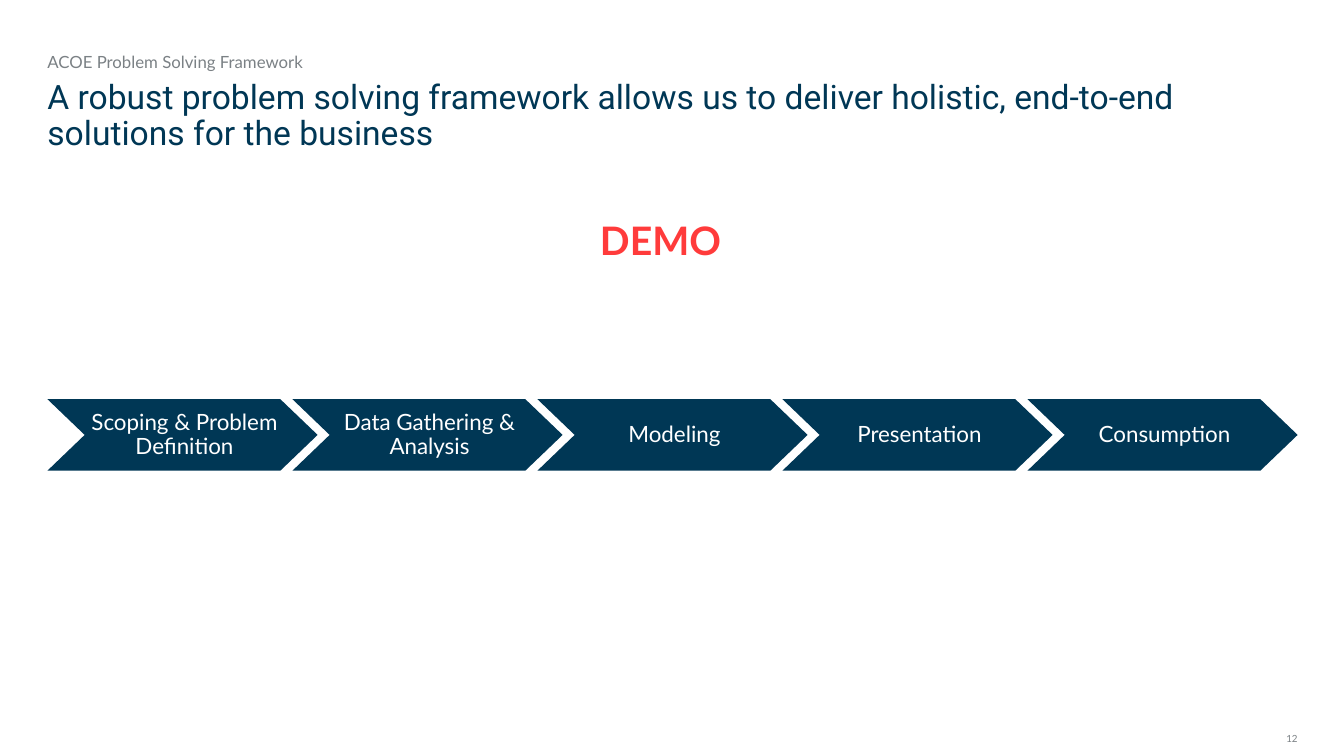
from pptx import Presentation
from pptx.dml.color import RGBColor
from pptx.enum.shapes import MSO_SHAPE
from pptx.enum.text import MSO_ANCHOR, PP_ALIGN
from pptx.util import Inches, Pt

NAVY, GRAY, RED, WHITE = "003755", "7B8185", "FF3B3B", "FFFFFF"
LEFT, WIDTH = 0.47, 12.4
STAGES = [
    "Scoping & Problem Definition",
    "Data Gathering & Analysis",
    "Modeling",
    "Presentation",
    "Consumption",
]


def color(value):
    return RGBColor.from_string(value)


def set_text(shape, text, size, font_color, font="Lato", bold=False,
             align=PP_ALIGN.LEFT, anchor=MSO_ANCHOR.TOP, spacing=1.0, inset=0):
    frame = shape.text_frame
    frame.word_wrap = True
    frame.vertical_anchor = anchor
    frame.margin_left = Inches(inset)
    frame.margin_right = frame.margin_top = frame.margin_bottom = 0
    frame.text = text
    paragraph = frame.paragraphs[0]
    paragraph.alignment = align
    paragraph.line_spacing = spacing
    run_font = paragraph.runs[0].font
    run_font.name = font
    run_font.size = Pt(size)
    run_font.bold = bold
    run_font.color.rgb = color(font_color)


def add_text(slide, left, top, width, height, text, size, font_color, **style):
    box = slide.shapes.add_textbox(
        Inches(left), Inches(top), Inches(width), Inches(height))
    set_text(box, text, size, font_color, **style)


def add_header(slide, left, top, width):
    add_text(slide, left, top, 9.17, 0.2,
             "ACOE Problem Solving Framework", 12, GRAY)
    add_text(slide, left, top + 0.29, width, 0.75,
             "A robust problem solving framework allows us to deliver holistic, "
             "end-to-end solutions for the business",
             24, NAVY, font="Roboto", spacing=0.9)


def add_process(slide, left, top, width, height, stages):
    chevron_width, point = 2.68, 0.37
    step = (width - chevron_width) / (len(stages) - 1)
    for index, stage in enumerate(stages):
        chevron = slide.shapes.add_shape(
            MSO_SHAPE.CHEVRON, Inches(left + index * step), Inches(top),
            Inches(chevron_width), Inches(height))
        chevron.adjustments[0] = point / height
        chevron.shadow.inherit = False
        chevron.fill.solid()
        chevron.fill.fore_color.rgb = color(NAVY)
        chevron.line.fill.background()
        set_text(chevron, stage, 16, WHITE, align=PP_ALIGN.CENTER,
                 anchor=MSO_ANCHOR.MIDDLE, spacing=0.9, inset=0.04)


def add_page_number(slide, right, top, number):
    add_text(slide, right - 0.43, top, 0.43, 0.12, number, 7, GRAY,
             align=PP_ALIGN.RIGHT, anchor=MSO_ANCHOR.BOTTOM)


def main():
    presentation = Presentation()
    presentation.slide_width = Inches(13.33)
    presentation.slide_height = Inches(7.5)
    slide = presentation.slides.add_slide(presentation.slide_layouts[6])
    add_header(slide, LEFT, 0.51, WIDTH)
    add_text(slide, 5.59, 2.15, 1.92, 0.47, "DEMO", 28, RED,
             bold=True, align=PP_ALIGN.CENTER)
    add_process(slide, LEFT, 3.96, WIDTH, 0.71, STAGES)
    add_page_number(slide, LEFT + WIDTH, 7.27, "12")
    presentation.save("out.pptx")


if __name__ == "__main__":
    main()
